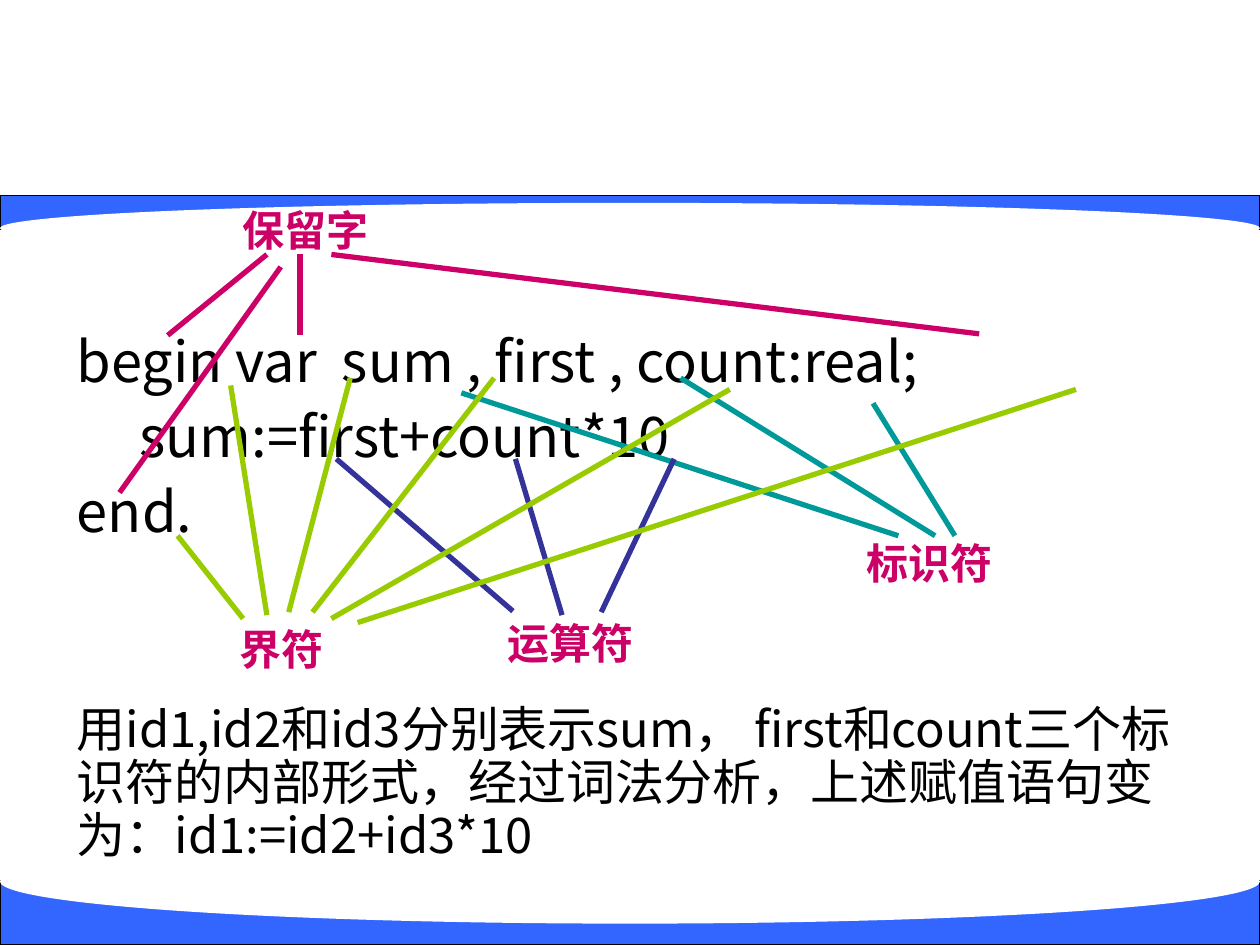
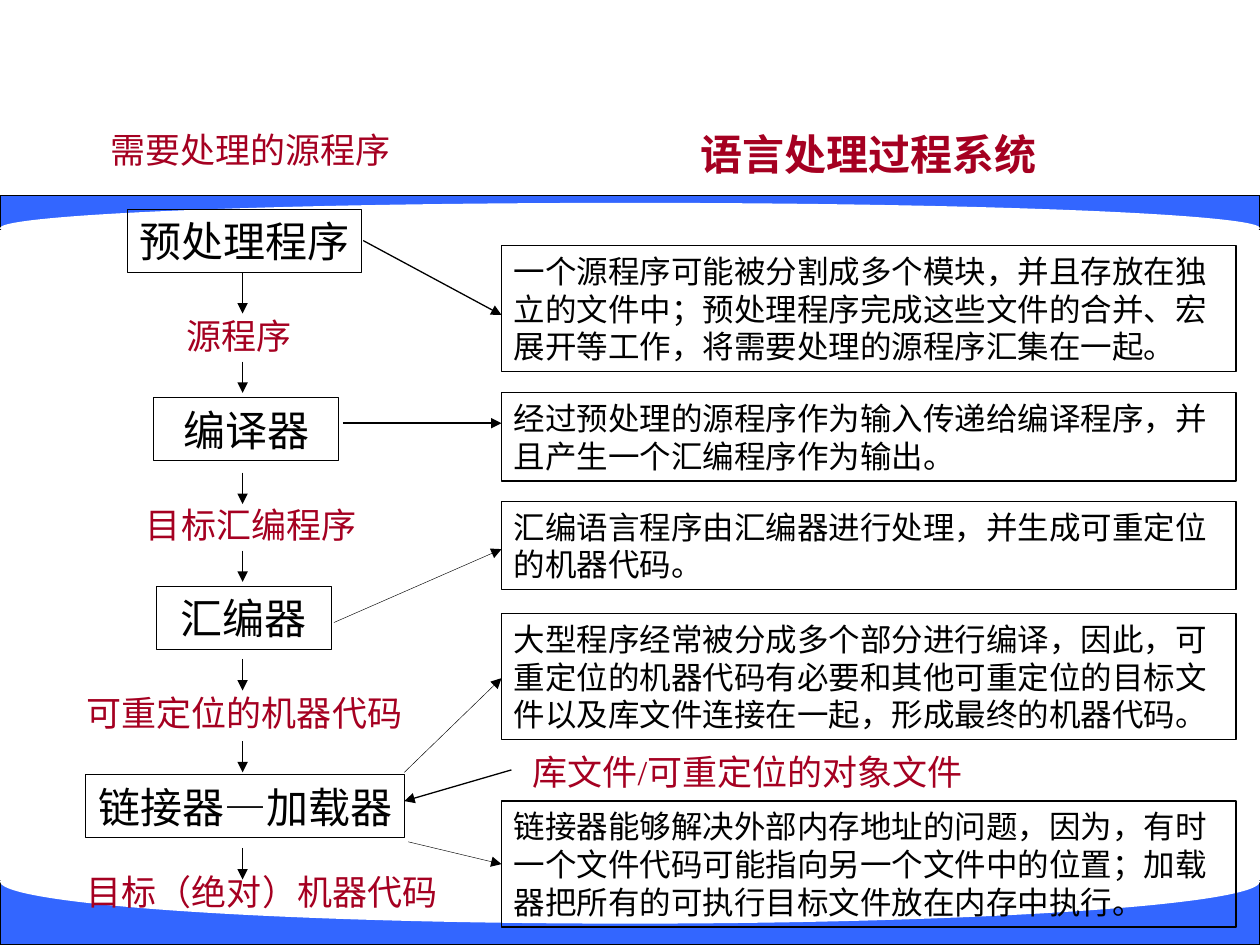
from dataclasses import dataclass

from lxml import etree
from pptx import Presentation
from pptx import util as u
from pptx.dml.color import RGBColor
from pptx.enum import shapes, text
from pptx.oxml import ns
from pptx.slide import Slide

COLORS = {
    "band": "3366FF", "paper": "FFFFFF", "ink": "000000", "crimson": "A50021",
    "reserved": "CC0066", "identifier": "009999",
    "operator": "333399", "delimiter": "99CC00",
}
SERIF = "Times New Roman"
SANS = "Noto Sans CJK SC"
LINE_FACTOR = 1.2
PAGE_WIDTH = 25.4
THIN, HAIRLINE, THICK = 0.75, 0.25, 3


@dataclass(frozen=True)
class Style:
    size: int
    color: str = "ink"
    font: str = SERIF
    bold: bool = False
    centered: bool = True
    framed: bool = False
    factor: float = LINE_FACTOR
    space: int = 0


@dataclass(frozen=True)
class Block:
    words: str
    left: float
    top: float
    width: float
    height: float = 1.27


@dataclass(frozen=True)
class Stroke:
    x1: float
    y1: float
    x2: float
    y2: float
    weight: float = THIN


@dataclass(frozen=True)
class TokenClass:
    kind: str
    label: Block
    strokes: tuple[Stroke, ...]


@dataclass(frozen=True)
class Band:
    top: float
    height: float
    curve_top: float
    curve_height: float


BANDS = (Band(3.94, 0.69, 4.09, 1.02), Band(17.75, 1.3, 16.92, 1.7))

TOKEN_LABEL = Style(24, "reserved", bold=True)
CODE = Style(32, font=SANS, centered=False, factor=1.08, space=8)
EXPLANATION = Style(28, font=SANS, centered=False, factor=1.08)
HEADING = Style(24, "crimson", bold=True)
PROGRAM = Style(24, framed=True)
PRODUCT = Style(20, "crimson")
NOTE = Style(18, centered=False, framed=True)


def rgb(name: str) -> RGBColor:
    return RGBColor.from_string(COLORS[name])


def fill_frame(frame, words: str, style: Style, wrap: bool) -> None:
    """Write one paragraph per line of words, in the given style."""
    frame.auto_size = text.MSO_AUTO_SIZE.NONE
    frame.word_wrap = wrap
    frame.vertical_anchor = text.MSO_ANCHOR.TOP
    for index, line in enumerate(words.split("\n")):
        paragraph = frame.add_paragraph() if index else frame.paragraphs[0]
        paragraph.text = line
        paragraph.alignment = (
            text.PP_ALIGN.CENTER if style.centered else text.PP_ALIGN.LEFT)
        paragraph.line_spacing = u.Pt(round(style.size * style.factor, 1))
        paragraph.space_before = u.Pt(style.space if index else 0)
        paragraph.font.name = style.font
        paragraph.font.size = u.Pt(style.size)
        paragraph.font.bold = style.bold
        paragraph.font.color.rgb = rgb(style.color)


def add_block(slide: Slide, block: Block, style: Style) -> None:
    box = slide.shapes.add_textbox(u.Cm(block.left), u.Cm(block.top),
                                   u.Cm(block.width), u.Cm(block.height))
    if style.framed:
        box.line.color.rgb = rgb("ink")
        box.line.width = u.Pt(THIN)
    fill_frame(box.text_frame, block.words, style, wrap=not style.centered)


def set_title(slide: Slide, block: Block, style: Style) -> None:
    title = slide.shapes.title
    title.left, title.top = u.Cm(block.left), u.Cm(block.top)
    title.width, title.height = u.Cm(block.width), u.Cm(block.height)
    fill_frame(title.text_frame, block.words, style, wrap=False)


def add_stroke(slide: Slide, stroke: Stroke, color: str,
               arrow: bool = False) -> None:
    line = slide.shapes.add_connector(
        shapes.MSO_CONNECTOR.STRAIGHT, u.Cm(stroke.x1), u.Cm(stroke.y1),
        u.Cm(stroke.x2), u.Cm(stroke.y2))
    line.line.color.rgb = rgb(color)
    line.line.width = u.Pt(stroke.weight)
    properties = line.element.spPr
    if arrow:
        outline = properties.find(ns.qn("a:ln"))
        etree.SubElement(outline, ns.qn("a:tailEnd"), type="triangle")
    etree.SubElement(properties, ns.qn("a:effectLst"))


def add_bands(slide: Slide) -> None:
    """Draw the blue bands, each hollowed by a paper-coloured curve."""
    for band in BANDS:
        bar = slide.shapes.add_shape(
            shapes.MSO_SHAPE.RECTANGLE, 0, u.Cm(band.top),
            u.Cm(PAGE_WIDTH), u.Cm(band.height))
        curve = slide.shapes.add_shape(
            shapes.MSO_SHAPE.OVAL, 0, u.Cm(band.curve_top),
            u.Cm(PAGE_WIDTH), u.Cm(band.curve_height))
        for part, color in ((bar, "band"), (curve, "paper")):
            part.shadow.inherit = False
            part.fill.solid()
            part.fill.fore_color.rgb = rgb(color)
        bar.line.color.rgb = rgb("ink")
        bar.line.width = u.Pt(THIN)
        curve.line.fill.background()


SOURCE_CODE = Block(
    "begin var  sum , first , count:real;\n"
    "     sum:=first+count*10\n"
    "end.", 1.3, 6.6, 22.86, 4.6)
INTERNAL_FORM = Block(
    "用id1,id2和id3分别表示sum， first和count三个标识符的内部形式，"
    "经过词法分析，上述赋值语句变为：id1:=id2+id3*10",
    1.3, 14.08, 22.86, 3.6)

TOKEN_CLASSES = (
    TokenClass("reserved", Block("保留字", 4.24, 3.99, 3.84), (
        Stroke(3.38, 6.76, 5.38, 5.13, THICK),
        Stroke(6.05, 6.76, 6.05, 5.13, THICK),
        Stroke(19.74, 6.73, 6.68, 5.13, THICK),
        Stroke(2.41, 9.93, 5.66, 5.38, THICK))),
    TokenClass("identifier", Block("标识符", 17.22, 10.72, 3.05), (
        Stroke(9.3, 7.92, 18.11, 10.8, THICK),
        Stroke(13.72, 7.62, 18.85, 10.8, THICK),
        Stroke(17.6, 8.13, 19.25, 10.8, THICK))),
    TokenClass("operator", Block("运算符", 9.98, 12.32, 3.05), (
        Stroke(6.78, 9.25, 10.34, 12.32, THICK),
        Stroke(10.39, 9.25, 11.33, 12.4, THICK),
        Stroke(13.59, 9.25, 12.12, 12.34, THICK))),
    TokenClass("delimiter", Block("界符", 4.22, 12.45, 2.92), (
        Stroke(3.58, 10.8, 4.9, 12.47, THICK),
        Stroke(4.65, 7.77, 5.38, 12.4, THICK),
        Stroke(7.06, 7.62, 5.82, 12.34, THICK),
        Stroke(9.96, 7.62, 6.3, 12.34, THICK),
        Stroke(14.71, 7.85, 6.68, 12.47, THICK),
        Stroke(21.69, 7.85, 7.21, 12.55, THICK))),
)

SYSTEM_TITLE = Block("语言处理过程系统", 13.2, 2.46, 8.6)
PROGRAM_TOP, PROGRAM_PITCH = 4.22, 3.8
PROGRAMS = (
    ("预处理程序", 2.57, 4.72),
    ("编译器", 3.1, 3.73),
    ("汇编器", 3.15, 3.53),
    ("链接器—加载器", 1.73, 6.43),
)
PRODUCTS = (
    Block("需要处理的源程序", 1.98, 2.46, 6.15, 1.12),
    Block("源程序", 3.51, 6.22, 2.62, 1.12),
    Block("目标汇编程序", 2.69, 10.03, 4.75, 1.12),
    Block("可重定位的机器代码", 1.5, 13.82, 6.86, 1.12),
    Block("目标（绝对）机器代码", 1.5, 17.42, 7.57, 1.12),
    Block("库文件/可重定位的对象文件", 10.31, 15.01, 9.53, 1.12),
)
FLOW_X = 4.89
FLOW_SPANS = ((5.49, 6.32), (7.29, 7.92), (9.53, 10.16), (11.1, 11.73),
              (13.28, 13.92), (14.94, 15.57), (17.09, 17.73))

NOTE_LEFT, NOTE_WIDTH = 10.11, 14.81
NOTES = (
    (4.95, 2.54, "一个源程序可能被分割成多个模块，并且存放在独立的文件中；"
     "预处理程序完成这些文件的合并、宏展开等工作，将需要处理的源程序汇集在一起。"),
    (7.92, 1.78, "经过预处理的源程序作为输入传递给编译程序，"
     "并且产生一个汇编程序作为输出。"),
    (10.11, 1.78, "汇编语言程序由汇编器进行处理，并生成可重定位的机器代码。"),
    (12.37, 2.54, "大型程序经常被分成多个部分进行编译，因此，"
     "可重定位的机器代码有必要和其他可重定位的目标文件以及库文件连接在一起，"
     "形成最终的机器代码。"),
    (16.15, 2.54, "链接器能够解决外部内存地址的问题，因为，"
     "有时一个文件代码可能指向另一个文件中的位置；"
     "加载器把所有的可执行目标文件放在内存中执行。"),
)
NOTE_ARROWS = (
    Stroke(7.32, 4.85, NOTE_LEFT, 6.35),
    Stroke(6.91, 8.53, NOTE_LEFT, 8.53),
    Stroke(6.73, 12.55, NOTE_LEFT, 11.07, HAIRLINE),
    Stroke(8.15, 15.57, NOTE_LEFT, 13.67, HAIRLINE),
    Stroke(8.23, 16.97, NOTE_LEFT, 17.42, HAIRLINE),
)
LIBRARY_ARROW = Stroke(10.31, 15.52, 8.15, 16.15)


def build_lexical_analysis(slide: Slide) -> None:
    add_bands(slide)
    add_block(slide, SOURCE_CODE, CODE)
    add_block(slide, INTERNAL_FORM, EXPLANATION)
    for token_class in TOKEN_CLASSES:
        for stroke in token_class.strokes:
            add_stroke(slide, stroke, token_class.kind)
        add_block(slide, token_class.label, TOKEN_LABEL)


def build_processing_system(slide: Slide) -> None:
    add_bands(slide)
    set_title(slide, SYSTEM_TITLE, HEADING)
    for index, (name, left, width) in enumerate(PROGRAMS):
        top = PROGRAM_TOP + index * PROGRAM_PITCH
        add_block(slide, Block(name, left, top, width), PROGRAM)
    for product in PRODUCTS:
        add_block(slide, product, PRODUCT)
    for top, height, words in NOTES:
        add_block(slide, Block(words, NOTE_LEFT, top, NOTE_WIDTH, height), NOTE)
    flow = tuple(Stroke(FLOW_X, start, FLOW_X, end) for start, end in FLOW_SPANS)
    for arrow in (*flow, *NOTE_ARROWS, LIBRARY_ARROW):
        add_stroke(slide, arrow, "ink", arrow=True)


def main() -> None:
    deck = Presentation()
    deck.slide_width, deck.slide_height = u.Cm(PAGE_WIDTH), u.Cm(19.05)
    title_only, blank = deck.slide_layouts[5], deck.slide_layouts[6]
    build_lexical_analysis(deck.slides.add_slide(blank))
    build_processing_system(deck.slides.add_slide(title_only))
    deck.save("out.pptx")


if __name__ == "__main__":
    main()
